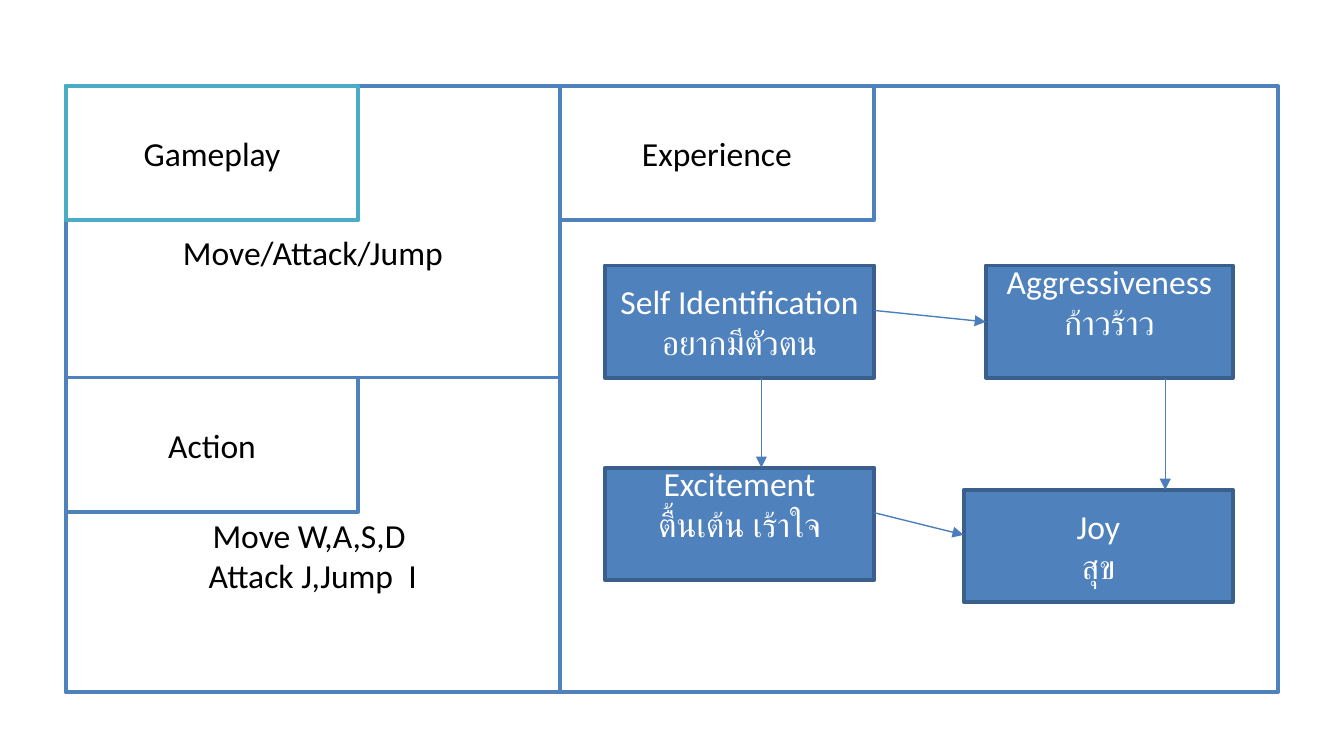
from dataclasses import dataclass

from lxml.etree import SubElement
from pptx import Presentation
from pptx.dml.color import RGBColor
from pptx.enum.shapes import MSO_CONNECTOR, MSO_SHAPE
from pptx.enum.text import MSO_ANCHOR, PP_ALIGN
from pptx.oxml.ns import qn
from pptx.util import Emu, Pt

PX = 4572  # 200 px to the inch
LINE_HEIGHT = 60  # one line of body text, in px


@dataclass(frozen=True)
class Theme:
    font: str = "Calibri"
    text_size: float = 18
    border_width: float = 2
    arrow_width: float = 0.75
    white: str = "FFFFFF"
    black: str = "000000"
    blue: str = "4F81BD"
    dark_blue: str = "3A5F8C"
    teal: str = "4BACC6"
    arrow: str = "4B7EBC"


THEME = Theme()


def px(value):
    return Emu(value * PX)


def color(value):
    return RGBColor.from_string(value)


def add_box(slide, bounds, lines=(), fill=THEME.white, border=THEME.blue,
            text_color=THEME.black, shift=0):
    """Draw a box; shift moves its centred text down by that many half lines."""
    shape = slide.shapes.add_shape(MSO_SHAPE.RECTANGLE, *map(px, bounds))
    shape.shadow.inherit = False
    shape.fill.solid()
    shape.fill.fore_color.rgb = color(fill)
    shape.line.color.rgb = color(border)
    shape.line.width = Pt(THEME.border_width)

    frame = shape.text_frame
    frame.word_wrap = True
    frame.vertical_anchor = MSO_ANCHOR.MIDDLE
    frame.margin_top = px(max(shift, 0) * LINE_HEIGHT)
    frame.margin_bottom = px(max(-shift, 0) * LINE_HEIGHT)
    for index, line in enumerate(lines):
        paragraph = frame.add_paragraph() if index else frame.paragraphs[0]
        paragraph.text = line
        paragraph.alignment = PP_ALIGN.CENTER
        paragraph.font.name = THEME.font
        paragraph.font.size = Pt(THEME.text_size)
        paragraph.font.color.rgb = color(text_color)


def add_emotion(slide, bounds, lines, shift=0):
    add_box(slide, bounds, lines, THEME.blue, THEME.dark_blue,
            THEME.white, shift)


def add_arrow(slide, start, end):
    connector = slide.shapes.add_connector(
        MSO_CONNECTOR.STRAIGHT, *map(px, start + end))
    connector.line.color.rgb = color(THEME.arrow)
    connector.line.width = Pt(THEME.arrow_width)
    properties = connector._element.spPr
    SubElement(properties.find(qn("a:ln")), qn("a:tailEnd"), type="triangle")
    SubElement(properties, qn("a:effectLst"))


def main():
    presentation = Presentation()
    presentation.slide_width, presentation.slide_height = px(2000), px(1125)
    slide = presentation.slides.add_slide(presentation.slide_layouts[6])

    # Outer frame, split into a left column and the experience area
    left, top, middle, divider = 98, 128, 562, 833
    right, bottom = 1902, 1030
    column, label_width, label_height = divider - left, 435, 200
    add_box(slide, (left, top, right - left, bottom - top))

    # Gameplay and action panels, each with a label in its corner
    panels = [
        (top, middle, "Gameplay", THEME.teal, ["Move/Attack/Jump"]),
        (middle, bottom, "Action", THEME.blue,
         ["Move W,A,S,D ", "Attack J,Jump  I"]),
    ]
    for panel_top, panel_bottom, label, border, lines in panels:
        add_box(slide, (left, panel_top, column, panel_bottom - panel_top),
                lines, shift=1)
        add_box(slide, (left, panel_top, label_width, label_height),
                [label], border=border)
    add_box(slide, (divider, top, 468, label_height), ["Experience"])

    # Emotions
    width, height = 401, 167
    add_emotion(slide, (900, 395, width, height),
                ["Self Identification", "อยากมีตัวตน"])
    add_emotion(slide, (1467, 395, 368, height),
                ["Aggressiveness", "ก้าวร้าว"], shift=-1)
    add_emotion(slide, (900, 696, width, height),
                ["Excitement", "ตื้นเต้น เร้าใจ"], shift=-1)
    add_emotion(slide, (1434, 729, width, height), ["Joy", "สุข"])

    # Arrows between emotions
    for start, end in [
        ((1301, 462), (1467, 479)),
        ((1133, 562), (1133, 696)),
        ((1301, 763), (1434, 796)),
        ((1734, 562), (1734, 729)),
    ]:
        add_arrow(slide, start, end)

    presentation.save("out.pptx")


if __name__ == "__main__":
    main()
